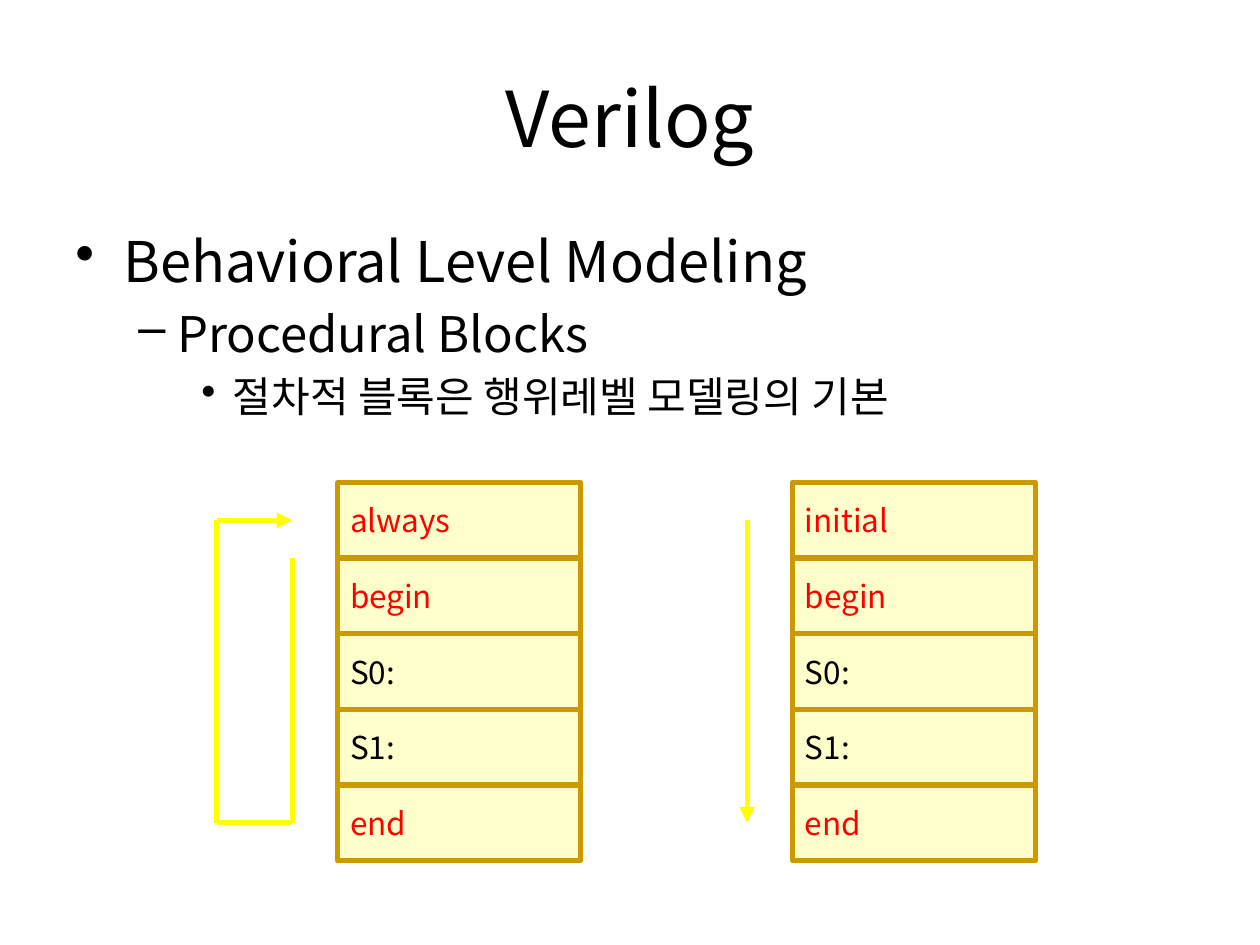
from typing import NamedTuple

from lxml import etree
from pptx import Presentation
from pptx.dml.color import RGBColor
from pptx.enum.shapes import MSO_CONNECTOR, MSO_SHAPE
from pptx.enum.text import MSO_ANCHOR, PP_ALIGN
from pptx.oxml.ns import qn
from pptx.util import Inches, Pt

RECTANGLE = MSO_SHAPE.RECTANGLE
STRAIGHT = MSO_CONNECTOR.STRAIGHT
MIDDLE = MSO_ANCHOR.MIDDLE
LEFT, CENTER = PP_ALIGN.LEFT, PP_ALIGN.CENTER

BLACK = RGBColor(0x00, 0x00, 0x00)
RED = RGBColor(0xFF, 0x00, 0x00)
CREAM = RGBColor(0xFF, 0xFF, 0xCC)
GOLD = RGBColor(0xCC, 0x99, 0x00)
YELLOW = RGBColor(0xFF, 0xFF, 0x00)

FONT = "Noto Sans CJK KR"
STACK_TOP, CELL_WIDTH, CELL_HEIGHT = 3.83, 1.93, 0.6
FIRST_ROW = STACK_TOP + CELL_HEIGHT / 2
SECOND_ROW = FIRST_ROW + CELL_HEIGHT / 2
LAST_ROW = FIRST_ROW + 4 * CELL_HEIGHT
LOOP_LEFT, LOOP_RIGHT, FLOW_X = 1.72, 2.32, 5.93


class Bullet(NamedTuple):
    """One outline line; lengths are inches, size is points."""
    text: str
    size: int
    mark: str
    margin: float
    hanging: float


class Stack(NamedTuple):
    """A column of code cells."""
    left: float
    keyword: str


class Segment(NamedTuple):
    """A straight line, with an arrowhead at its end if wanted."""
    x1: float
    y1: float
    x2: float
    y2: float
    arrow: bool = False


BULLETS = [
    Bullet("Behavioral Level Modeling", 32, "•", 0.38, 0.38),
    Bullet("Procedural Blocks", 28, "–", 0.81, 0.31),
    Bullet("절차적 블록은 행위레벨 모델링의 기본", 24, "•", 1.25, 0.25),
]
STACKS = [Stack(2.68, "always"), Stack(6.29, "initial")]
SEGMENTS = [
    Segment(FLOW_X, FIRST_ROW, FLOW_X, LAST_ROW, True),
    Segment(LOOP_RIGHT, SECOND_ROW, LOOP_RIGHT, LAST_ROW),
    Segment(LOOP_LEFT, FIRST_ROW, LOOP_LEFT, LAST_ROW),
    Segment(LOOP_LEFT, LAST_ROW, LOOP_RIGHT, LAST_ROW),
    Segment(LOOP_LEFT, FIRST_ROW, LOOP_RIGHT, FIRST_ROW, True),
]


def write(para, text: str, size: int, color: RGBColor, align=LEFT) -> None:
    """Fill a paragraph with text in the slide's font."""
    span = para.add_run()
    span.text = text
    para.alignment = align
    para.font.size = Pt(size)
    para.font.color.rgb = color
    para.font.name = FONT
    properties = span._r.get_or_add_rPr()
    etree.SubElement(properties, qn("a:ea"), typeface=FONT)


def add_text_frame(page, left: float, top: float, width: float, height: float):
    """Add a wrapping text box and return its text frame."""
    box = page.shapes.add_textbox(*map(Inches, (left, top, width, height)))
    box.text_frame.word_wrap = True
    return box.text_frame


def add_outline(page, bullets: list[Bullet]) -> None:
    """Write the bulleted outline, one level per line."""
    frame = add_text_frame(page, 0.5, 1.75, 9, 4.95)
    for level, bullet in enumerate(bullets):
        para = frame.add_paragraph() if level else frame.paragraphs[0]
        para.level = level
        para.space_before = Pt(bullet.size * 0.2)
        write(para, bullet.text, bullet.size, BLACK)
        properties = para._p.get_or_add_pPr()
        properties.set("marL", str(Inches(bullet.margin)))
        properties.set("indent", str(-Inches(bullet.hanging)))
        mark = etree.Element(qn("a:buChar"), char=bullet.mark)
        properties.find(qn("a:defRPr")).addprevious(mark)


def add_stack(page, stack: Stack) -> None:
    """Draw a column of code cells as one group."""
    group = page.shapes.add_group_shape()
    for row, word in enumerate([stack.keyword, "begin", "S0:", "S1:", "end"]):
        top = STACK_TOP + row * CELL_HEIGHT
        cell = group.shapes.add_shape(
            RECTANGLE, *map(Inches, (stack.left, top, CELL_WIDTH, CELL_HEIGHT)))
        cell.shadow.inherit = False
        cell.fill.solid()
        cell.fill.fore_color.rgb = CREAM
        cell.line.color.rgb = GOLD
        cell.line.width = Pt(3)
        frame = cell.text_frame
        frame.word_wrap = False
        frame.vertical_anchor = MIDDLE
        write(frame.paragraphs[0], word, 18, BLACK if word.endswith(":") else RED)


def add_segment(page, segment: Segment) -> None:
    """Draw one line of the flow arrows."""
    line = page.shapes.add_connector(STRAIGHT, *map(Inches, segment[:4]))
    line.line.color.rgb = YELLOW
    line.line.width = Pt(3)
    if segment.arrow:
        etree.SubElement(line.line._get_or_add_ln(), qn("a:tailEnd"), type="triangle")
    etree.SubElement(line._element.spPr, qn("a:effectLst"))


def main() -> None:
    """Build and save the slide."""
    deck = Presentation()
    deck.slide_width, deck.slide_height = Inches(10), Inches(7.5)
    page = deck.slides.add_slide(deck.slide_layouts[6])
    title = add_text_frame(page, 0.5, 0.3, 9, 1.25)
    title.vertical_anchor = MIDDLE
    write(title.paragraphs[0], "Verilog", 44, BLACK, CENTER)
    add_outline(page, BULLETS)
    for stack in STACKS:
        add_stack(page, stack)
    for segment in SEGMENTS:
        add_segment(page, segment)
    deck.save("out.pptx")


main()
